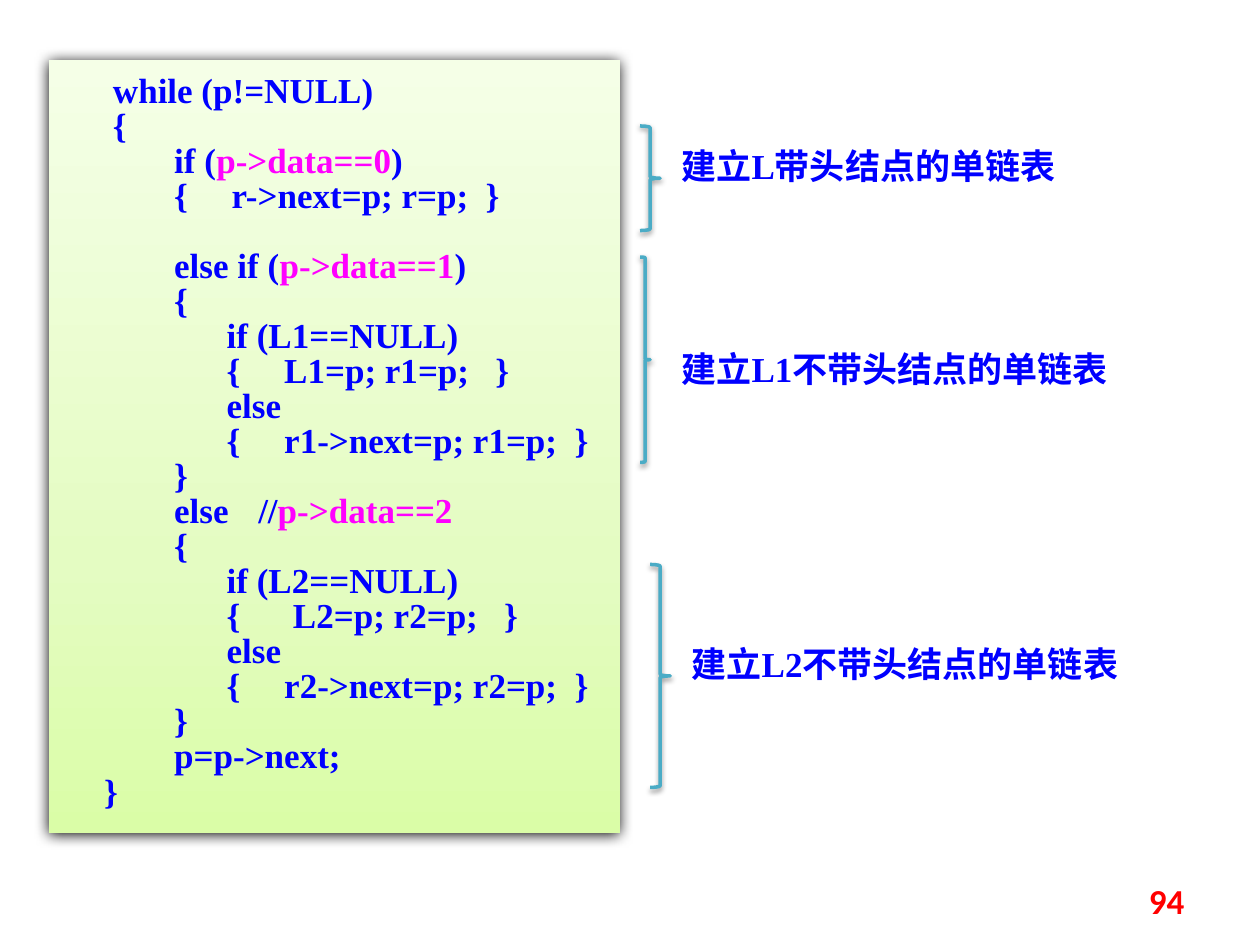
from copy import deepcopy
from dataclasses import dataclass

from lxml import etree
from pptx import Presentation
from pptx.dml.color import RGBColor
from pptx.enum.shapes import MSO_SHAPE
from pptx.enum.text import MSO_ANCHOR, MSO_AUTO_SIZE, PP_ALIGN
from pptx.oxml.ns import qn
from pptx.util import Inches, Pt

RECTANGLE, BRACE = MSO_SHAPE.RECTANGLE, MSO_SHAPE.RIGHT_BRACE
TOP, MIDDLE = MSO_ANCHOR.TOP, MSO_ANCHOR.MIDDLE
LEFT, RIGHT = PP_ALIGN.LEFT, PP_ALIGN.RIGHT
GROW, FIXED = MSO_AUTO_SIZE.SHAPE_TO_FIT_TEXT, MSO_AUTO_SIZE.NONE

SLIDE_WIDTH, SLIDE_HEIGHT = Inches(10), Inches(7.5)
MARK = "|"  # encloses the highlighted conditions in the code


@dataclass(frozen=True)
class Theme:
    text: str = "0000FF"
    highlight: str = "FF00FF"
    page_number: str = "FF0000"
    brace: str = "4BACC6"
    panel: tuple = ((0, "DAFDA7"), (0.35, "E4FCC2"), (1, "F5FFE7"))
    code_font: str = "Times New Roman"
    page_font: str = "Calibri"
    size: int = 20


@dataclass(frozen=True)
class Box:
    """A place on the slide, in percent of its width and height."""
    left: float
    top: float
    width: float
    height: float

    def emu(self) -> tuple:
        return (int(SLIDE_WIDTH * self.left / 100), int(SLIDE_HEIGHT * self.top / 100),
                int(SLIDE_WIDTH * self.width / 100), int(SLIDE_HEIGHT * self.height / 100))


@dataclass(frozen=True)
class Annotation:
    brace: Box
    label: Box
    wording: str


THEME = Theme()
CODE_PANEL = Box(3.9, 6.4, 45.3, 81.73)
PAGE_NUMBER = Box(71.7, 92.67, 23.3, 5.33)

CODE_BLOCKS = [
    """\
     while (p!=NULL)
     {
            if (|p->data==0|)
            {     r->next=p; r=p;  }""",
    """\
            else if (|p->data==1|)
            {
                  if (L1==NULL)
                  {     L1=p; r1=p;   }
                  else
                  {     r1->next=p; r1=p;  }
            }
            else \t//|p->data==2|
            {
                  if (L2==NULL)
                  {      L2=p; r2=p;   }
                  else
                  {     r2->next=p; r2=p;  }
            }
            p=p->next;
    }""",
]

ANNOTATIONS = [
    Annotation(Box(50.8, 13.33, 1.6, 11.07), Box(53.1, 14.67, 32, 6), "建立L带头结点的单链表"),
    Annotation(Box(50.8, 27.2, 0.8, 21.73), Box(53.1, 36.13, 39.1, 6.27), "建立L1不带头结点的单链表"),
    Annotation(Box(51.6, 59.73, 1.6, 23.6), Box(53.9, 67.33, 39.8, 6.27), "建立L2不带头结点的单链表"),
]


def write(frame, blocks: list, *, color: str = THEME.text, font: str = THEME.code_font,
          align=LEFT, anchor=TOP, autosize=GROW, spacing=None) -> None:
    """Write one paragraph per line, with a line's gap between blocks."""
    frame.word_wrap = True
    frame.auto_size = autosize
    frame.vertical_anchor = anchor
    paragraph = None
    for block_index, block in enumerate(blocks):
        for line_index, line in enumerate(block.split("\n")):
            paragraph = frame.add_paragraph() if paragraph else frame.paragraphs[0]
            paragraph.alignment = align
            if spacing:
                paragraph.line_spacing = spacing
            if block_index and not line_index:
                paragraph.space_before = Pt(THEME.size)
            for part_index, part in enumerate(line.split(MARK)):
                if not part:
                    continue
                run = paragraph.add_run()
                run.text = part
                run.font.name = font
                run.font.size = Pt(THEME.size)
                run.font.bold = True
                run.font.color.rgb = RGBColor.from_string(
                    THEME.highlight if part_index % 2 else color)


def add_shadow(shape, *, blur: float, distance: float, opacity: int) -> None:
    """Give the shape a black shadow that falls straight down."""
    shape.shadow.inherit = False
    effects = shape._element.spPr.find(qn("a:effectLst"))
    shadow = etree.SubElement(effects, qn("a:outerShdw"), blurRad=str(Pt(blur)),
                              dist=str(Pt(distance)), dir="5400000", rotWithShape="0")
    black = etree.SubElement(shadow, qn("a:srgbClr"), val="000000")
    etree.SubElement(black, qn("a:alpha"), val=str(opacity * 1000))


def fill_gradient(shape, stops: tuple) -> None:
    """Fill the shape with a gradient that runs from bottom to top."""
    shape.fill.gradient()
    shape.fill.gradient_angle = 90
    stop_list = shape._element.spPr.find(".//" + qn("a:gsLst"))
    while len(stop_list) < len(stops):
        stop_list.append(deepcopy(stop_list[0]))
    for stop, (position, color) in zip(shape.fill.gradient_stops, stops):
        stop.position = position
        stop.color.rgb = RGBColor.from_string(color)


def add_code_panel(slide) -> None:
    panel = slide.shapes.add_shape(RECTANGLE, *CODE_PANEL.emu())
    fill_gradient(panel, THEME.panel)
    panel.line.fill.background()
    add_shadow(panel, blur=8.5, distance=1, opacity=100)
    frame = panel.text_frame
    frame.margin_left, frame.margin_right = Inches(0.16), Inches(0.1)
    frame.margin_top = frame.margin_bottom = Inches(0.12)
    write(frame, CODE_BLOCKS, spacing=Pt(THEME.size))


def add_annotation(slide, annotation: Annotation) -> None:
    group = slide.shapes.add_group_shape()
    brace = group.shapes.add_shape(BRACE, *annotation.brace.emu())
    brace.fill.background()
    brace.line.color.rgb = RGBColor.from_string(THEME.brace)
    brace.line.width = Pt(2)
    add_shadow(brace, blur=3.1, distance=1.6, opacity=38)
    label = group.shapes.add_textbox(*annotation.label.emu())
    write(label.text_frame, [annotation.wording])


def main() -> None:
    deck = Presentation()
    deck.slide_width, deck.slide_height = SLIDE_WIDTH, SLIDE_HEIGHT
    slide = deck.slides.add_slide(deck.slide_layouts.get_by_name("Blank"))
    add_code_panel(slide)
    for annotation in ANNOTATIONS:
        add_annotation(slide, annotation)
    page_number = slide.shapes.add_textbox(*PAGE_NUMBER.emu())
    write(page_number.text_frame, ["94"], color=THEME.page_number, font=THEME.page_font,
          align=RIGHT, anchor=MIDDLE, autosize=FIXED)
    deck.save("out.pptx")


if __name__ == "__main__":
    main()
